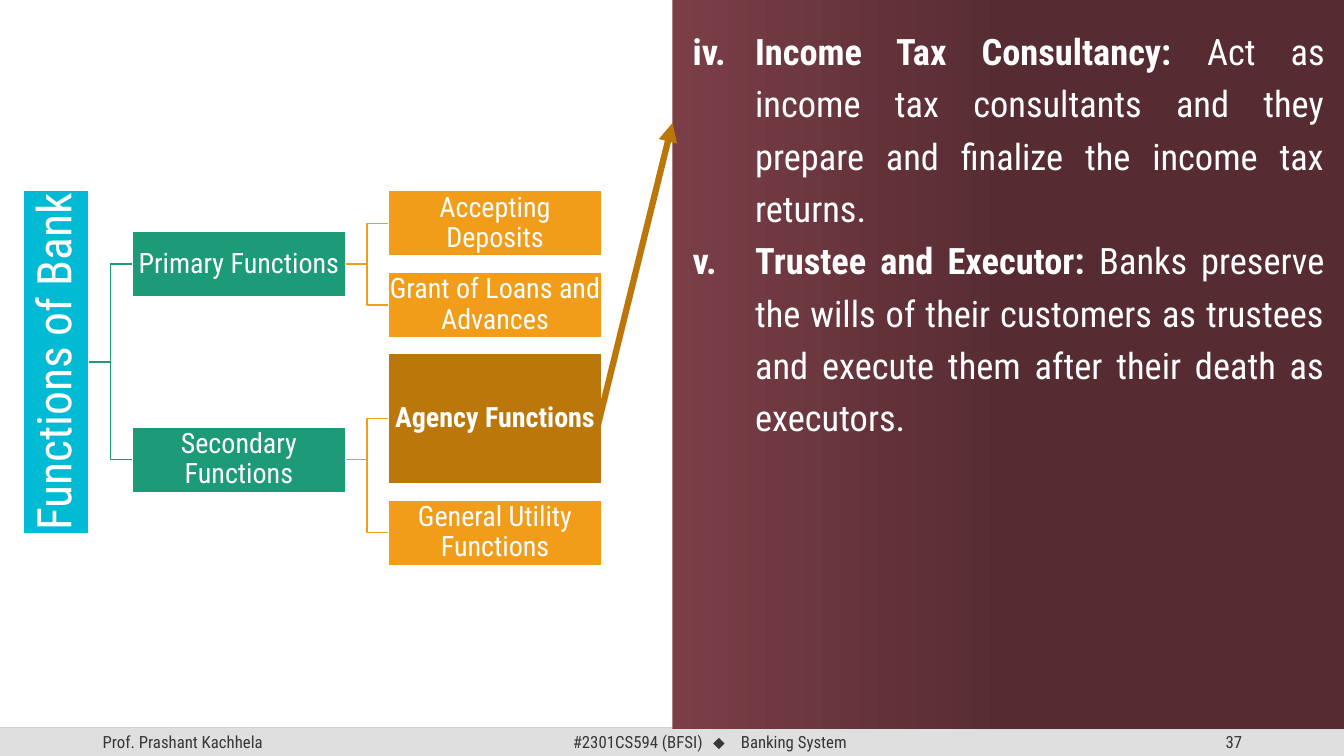
from lxml import etree
from pptx import Presentation
from pptx.dml.color import RGBColor
from pptx.enum.shapes import MSO_CONNECTOR, MSO_SHAPE
from pptx.enum.text import MSO_ANCHOR, PP_ALIGN
from pptx.oxml.ns import qn
from pptx.util import Inches, Pt

RECTANGLE = MSO_SHAPE.RECTANGLE
STRAIGHT, ELBOW = MSO_CONNECTOR.STRAIGHT, MSO_CONNECTOR.ELBOW
TOP, MIDDLE = MSO_ANCHOR.TOP, MSO_ANCHOR.MIDDLE
LEFT, CENTER, RIGHT, JUSTIFY = (
    PP_ALIGN.LEFT, PP_ALIGN.CENTER, PP_ALIGN.RIGHT, PP_ALIGN.JUSTIFY)
LEFT_SIDE, RIGHT_SIDE = 1, 3

WHITE = RGBColor(0xFF, 0xFF, 0xFF)
CYAN = RGBColor(0x00, 0xBB, 0xD3)
GREEN = RGBColor(0x1D, 0x9A, 0x78)
ORANGE = RGBColor(0xF1, 0x9D, 0x19)
BROWN = RGBColor(0xBC, 0x77, 0x0B)
MAROON = RGBColor(0x56, 0x2C, 0x32)
ROSE = RGBColor(0x7B, 0x3E, 0x47)
FOOTER_GRAY = RGBColor(0xDF, 0xDF, 0xDF)
RULE_GRAY = RGBColor(0xD2, 0xD2, 0xD2)
FOOTER_TEXT = RGBColor(0x37, 0x37, 0x37)

FONT = "Roboto Condensed"
FOOTER_TOP = 7.22
BOX_WIDTH, BOX_HEIGHT, BOX_GAP = 2.12, 0.65, 0.16
ROOT_LEFT, PARENT_LEFT, CHILD_LEFT = 0.23, 1.31, 3.85
ROOT_HEIGHT = 3.41
FIRST_CHILD_TOP = 1.89

BRANCHES = [
    ("Primary Functions", [
        ("Accepting Deposits", BOX_HEIGHT, ORANGE),
        ("Grant of Loans and Advances", BOX_HEIGHT, ORANGE)]),
    ("Secondary Functions", [
        ("Agency Functions", 1.29, BROWN),
        ("General Utility Functions", BOX_HEIGHT, ORANGE)]),
]
SERVICES = [
    ("Income Tax Consultancy: ",
     "Act as income tax consultants and they prepare and finalize the income tax returns."),
    ("Trustee and Executor: ",
     "Banks preserve the wills of their customers as trustees and execute them "
     "after their death as executors."),
]


def add_span(para, text, size=20, color=WHITE, bold=False, font=FONT):
    """Add one formatted run to a paragraph and return it."""
    span = para.add_run()
    span.text = text
    span.font.name = font
    span.font.size = Pt(size)
    span.font.bold = bold
    span.font.color.rgb = color
    return span


def set_frame(box, inset=0.01, anchor=MIDDLE, wrap=True):
    """Set insets, anchor and wrapping of a box and return its text frame."""
    frame = box.text_frame
    frame.margin_left = frame.margin_right = Inches(inset)
    frame.margin_top = frame.margin_bottom = Inches(inset)
    frame.vertical_anchor = anchor
    frame.word_wrap = wrap
    return frame


def add_box(page, left, top, width, height, color=None, outline=None):
    """Add a rectangle without shadow, filled when a color is given."""
    box = page.shapes.add_shape(
        RECTANGLE, Inches(left), Inches(top), Inches(width), Inches(height))
    box.shadow.inherit = False
    if color is not None:
        box.fill.solid()
        box.fill.fore_color.rgb = color
    if outline is None:
        box.line.fill.background()
    else:
        box.line.color.rgb = outline
        box.line.width = Pt(1)
    return box


def add_node(page, text, left, top, width, height, color,
             size=20, bold=False, upward=False):
    """Add a labelled box of the tree, with its text running upward if asked."""
    box = add_box(page, left, top, width, height, color, WHITE)
    para = set_frame(box, wrap=not upward).paragraphs[0]
    para.alignment = CENTER
    para.line_spacing = 0.9
    add_span(para, text, size=size, bold=bold)
    if upward:
        box.element.txBody.find(qn("a:bodyPr")).set("vert", "vert270")
    return box


def add_line(page, kind, start, end, color, width, arrow=False):
    """Add a connector between two points given in inches."""
    line = page.shapes.add_connector(
        kind, *(Inches(length) for length in (*start, *end)))
    line.line.color.rgb = color
    line.line.width = Pt(width)
    properties = line.element.spPr
    if arrow:
        etree.SubElement(properties.find(qn("a:ln")), qn("a:tailEnd"), type="triangle")
    etree.SubElement(properties, qn("a:effectLst"))
    return line


def join(page, parent, child, color):
    """Join the right side of a parent to the left side of a child."""
    line = add_line(page, ELBOW, (0, 0), (1, 1), color, 1)
    line.begin_connect(parent, RIGHT_SIDE)
    line.end_connect(child, LEFT_SIDE)


def add_tree(page):
    """Draw the tree, centring each parent on its children."""
    top = FIRST_CHILD_TOP
    parents, middles = [], []
    for name, children in BRANCHES:
        first_top = top
        boxes = []
        for text, height, color in children:
            boxes.append(add_node(page, text, CHILD_LEFT, top, BOX_WIDTH, height,
                                  color, bold=color == BROWN))
            top += height + BOX_GAP
        middle = (first_top + top - BOX_GAP) / 2
        parent = add_node(page, name, PARENT_LEFT, middle - BOX_HEIGHT / 2,
                          BOX_WIDTH, BOX_HEIGHT, GREEN)
        for box in boxes:
            join(page, parent, box, ORANGE)
        parents.append(parent)
        middles.append(middle)
    root_top = sum(middles) / len(middles) - ROOT_HEIGHT / 2
    root = add_node(page, "Functions of Bank", ROOT_LEFT, root_top, BOX_HEIGHT,
                    ROOT_HEIGHT, CYAN, size=34, upward=True)
    for parent in parents:
        join(page, root, parent, GREEN)


def add_panel(page):
    """Add the gradient panel with its numbered services."""
    panel = add_box(page, 6.67, 0, 6.67, 7.23)
    panel.fill.gradient()
    panel.fill.gradient_angle = 0
    stops = zip(panel.fill.gradient_stops, (ROSE, MAROON), (0, 0.5))
    for stop, color, position in stops:
        stop.color.rgb = color
        stop.position = position
    frame = set_frame(panel, inset=0.2, anchor=TOP)
    for index, (heading, detail) in enumerate(SERVICES):
        para = frame.add_paragraph() if index else frame.paragraphs[0]
        properties = para._p.get_or_add_pPr()
        properties.set("marL", str(Inches(0.62)))
        properties.set("indent", str(-Inches(0.62)))
        etree.SubElement(properties, qn("a:buAutoNum"),
                         type="romanLcPeriod", startAt="4")
        para.alignment = JUSTIFY
        para.line_spacing = 1.2
        add_span(para, heading, size=26, bold=True)
        add_span(para, detail, size=26)


def add_footer_text(page, left, width, alignment):
    """Add an empty footer text box and return its paragraph."""
    box = page.shapes.add_textbox(
        Inches(left), Inches(FOOTER_TOP), Inches(width), Inches(0.28))
    para = set_frame(box, inset=0.1).paragraphs[0]
    box.text_frame.margin_top = box.text_frame.margin_bottom = Inches(0.05)
    para.alignment = alignment
    return para


def add_footer(page):
    """Add the footer band with author, course and page number."""
    add_box(page, 0, FOOTER_TOP, 13.33, 0.28, FOOTER_GRAY)
    add_line(page, STRAIGHT, (0, FOOTER_TOP), (13.33, FOOTER_TOP), RULE_GRAY, 1)
    style = {"size": 12, "color": FOOTER_TEXT}
    add_span(add_footer_text(page, 0.92, 3, LEFT), "Prof. Prashant Kachhela", **style)
    course = add_footer_text(page, 4.42, 5.24, CENTER)
    add_span(course, "#2301CS594 (BFSI)", **style)
    diamond = add_span(course, " ⬥ ", font="Arial", **style)
    diamond.font._element.set("spc", "400")
    add_span(course, "Banking System", **style)
    add_span(add_footer_text(page, 9.42, 3, RIGHT), "37", **style)


def main():
    """Build the slide and save it."""
    deck = Presentation()
    deck.slide_width, deck.slide_height = Inches(13.33), Inches(7.5)
    page = deck.slides.add_slide(deck.slide_layouts[6])
    add_footer(page)
    add_panel(page)
    add_tree(page)
    add_line(page, STRAIGHT, (5.89, 4.38), (6.67, 1.22), BROWN, 4.5, arrow=True)
    deck.save("out.pptx")


if __name__ == "__main__":
    main()
